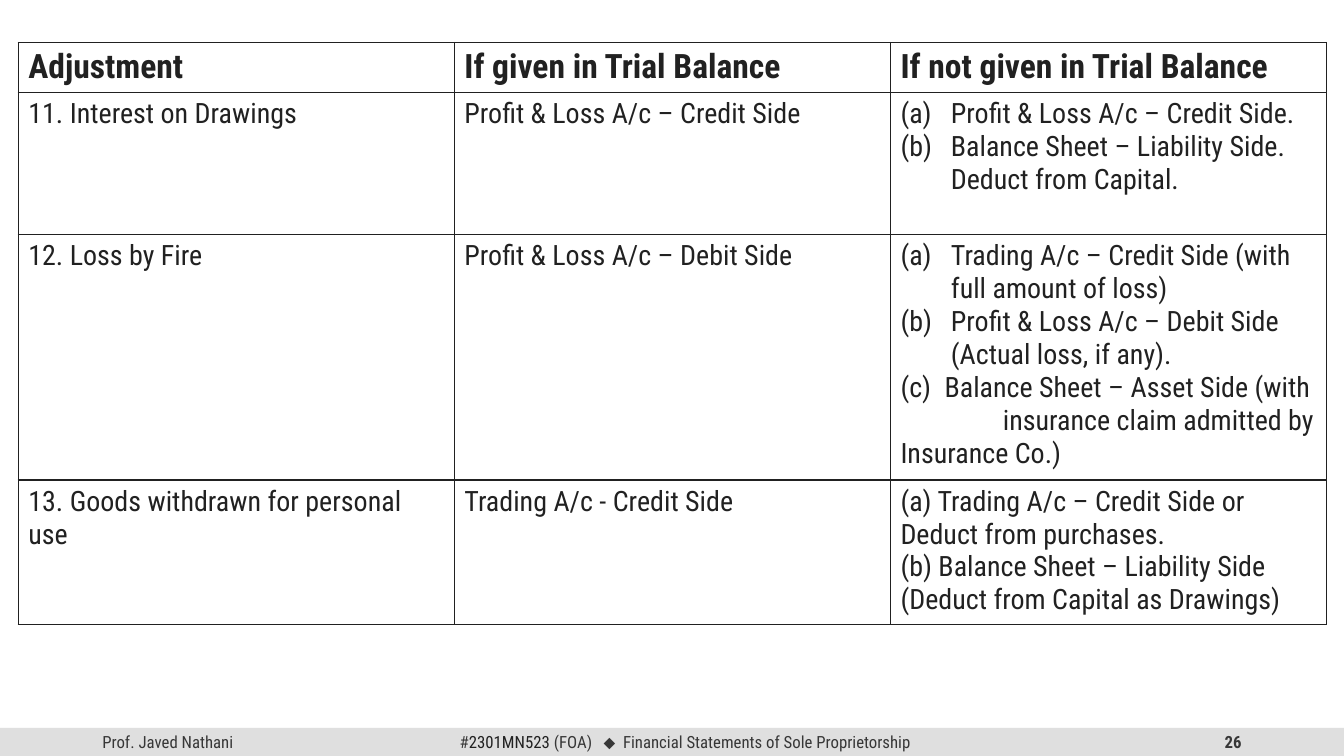
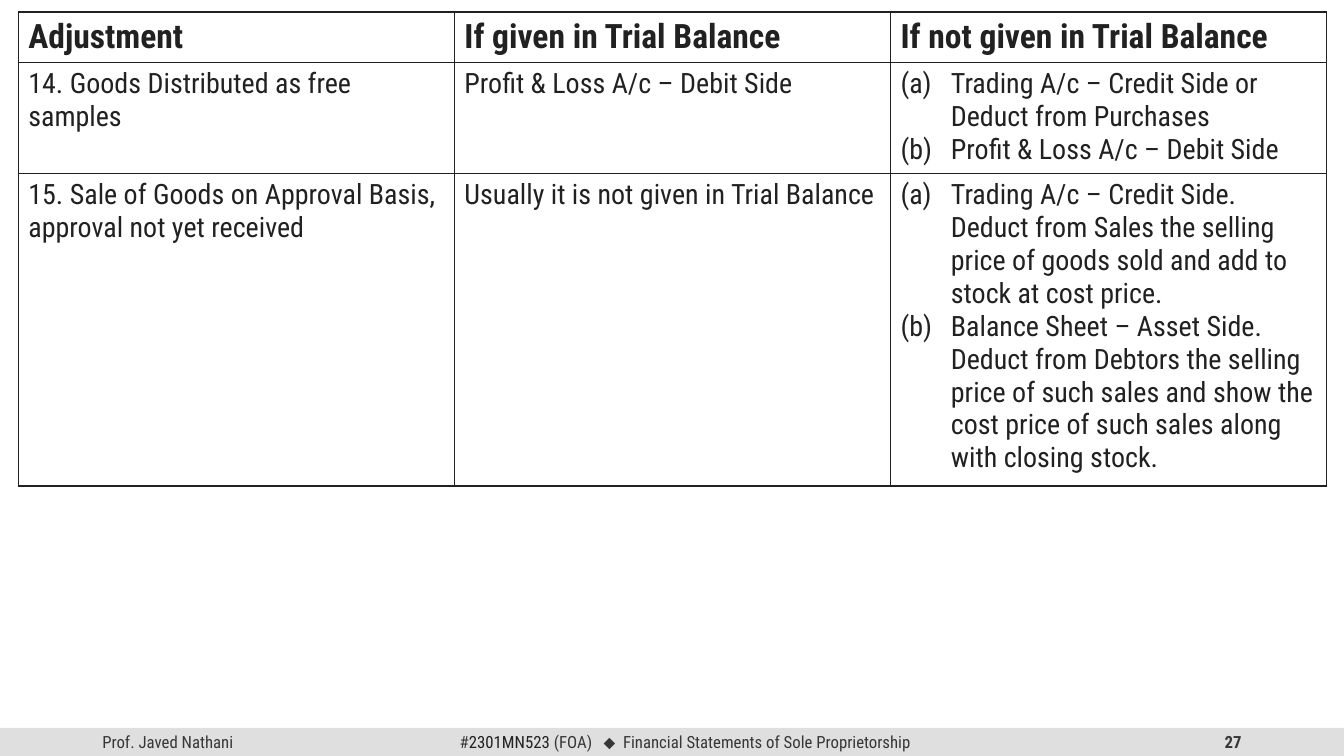
from dataclasses import dataclass

from lxml.etree import SubElement
from pptx import Presentation
from pptx.dml.color import RGBColor
from pptx.enum.shapes import MSO_SHAPE
from pptx.enum.text import MSO_ANCHOR, PP_ALIGN
from pptx.oxml.ns import qn
from pptx.util import Cm, Pt

INK = RGBColor(0x21, 0x21, 0x21)
FOOTER_INK = RGBColor(0x37, 0x37, 0x37)
FOOTER_FILL = RGBColor(0xDF, 0xDF, 0xDF)
BODY_FONT = "Roboto Condensed"
SYMBOL_FONT = "Arial"

SLIDE_WIDTH, SLIDE_HEIGHT = Cm(33.87), Cm(19.05)
FOOTER_HEIGHT = Cm(0.71)
TABLE_LEFT, TABLE_WIDTH = Cm(0.46), Cm(32.97)
HEADER_HEIGHT = Cm(1.25)
LINE_HEIGHT, ROW_PADDING = Cm(0.83), Cm(0.25)
HANGING = Cm(1.27)
HEADINGS = ("Adjustment", "If given in Trial Balance", "If not given in Trial Balance")


@dataclass
class Item:
    text: str
    number: int = 0
    left: int = 0
    first_line: int = 0


def lettered(*texts):
    return [Item(text, 1, HANGING, -HANGING) for text in texts]


DRAWINGS_TO_WITHDRAWALS = [
    (4, "11. Interest on Drawings", "Profit & Loss A/c – Credit Side",
     lettered("Profit & Loss A/c – Credit Side.",
              "Balance Sheet – Liability Side. Deduct from Capital.")),
    (7, "12. Loss by Fire", "Profit & Loss A/c – Debit Side",
     lettered("Trading A/c – Credit Side (with full amount of loss)",
              "Profit & Loss A/c – Debit Side")
     + [Item("(Actual loss, if any).", left=HANGING),
        Item("Balance Sheet – Asset Side (with", 3, Cm(1.11), -Cm(1.11)),
        Item("insurance claim admitted by Insurance Co.)", first_line=Cm(2.58))]),
    (4, "13. Goods withdrawn for personal use", "Trading A/c - Credit Side",
     [Item("(a) Trading A/c – Credit Side or"),
      Item("Deduct from purchases."),
      Item("(b) Balance Sheet – Liability Side (Deduct from Capital as Drawings)")]),
]
SAMPLES_TO_APPROVAL = [
    (3, "14. Goods Distributed as free samples", "Profit & Loss A/c – Debit Side",
     lettered("Trading A/c – Credit Side or Deduct from Purchases",
              "Profit & Loss A/c – Debit Side")),
    (9, "15. Sale of Goods on Approval Basis, approval not yet received",
     "Usually it is not given in Trial Balance",
     lettered("Trading A/c – Credit Side. Deduct from Sales the selling price of goods "
              "sold and add to stock at cost price.",
              "Balance Sheet – Asset Side. Deduct from Debtors the selling price of such "
              "sales and show the cost price of such sales along with closing stock.")),
]


def add_run(paragraph, text, size, color, bold=False, font=BODY_FONT, spacing=0):
    run = paragraph.add_run()
    run.text = text
    run.font.size = Pt(size)
    run.font.name = font
    run.font.bold = bold
    run.font.color.rgb = color
    if spacing:
        run._r.get_or_add_rPr().set("spc", str(spacing))


def add_footer_text(slide, left, top, width, alignment):
    box = slide.shapes.add_textbox(left, top, width, FOOTER_HEIGHT)
    frame = box.text_frame
    frame.word_wrap = True
    frame.vertical_anchor = MSO_ANCHOR.MIDDLE
    paragraph = frame.paragraphs[0]
    paragraph.alignment = alignment
    return paragraph


def add_footer(slide, page_number):
    top = SLIDE_HEIGHT - FOOTER_HEIGHT
    band = slide.shapes.add_shape(MSO_SHAPE.RECTANGLE, 0, top, SLIDE_WIDTH, FOOTER_HEIGHT)
    band.shadow.inherit = False
    band.fill.solid()
    band.fill.fore_color.rgb = FOOTER_FILL
    band.line.fill.background()

    author = add_footer_text(slide, Cm(2.33), top, Cm(7.62), PP_ALIGN.LEFT)
    add_run(author, "Prof. Javed Nathani", 12, FOOTER_INK)
    number = add_footer_text(slide, Cm(23.92), top, Cm(7.62), PP_ALIGN.RIGHT)
    add_run(number, str(page_number), 12, FOOTER_INK, bold=True)

    course = add_footer_text(slide, Cm(10.62), top, Cm(13.3), PP_ALIGN.CENTER)
    add_run(course, "#", 12, FOOTER_INK)
    add_run(course, "2301MN523 ", 12, INK)
    add_run(course, "(FOA)", 12, FOOTER_INK)
    add_run(course, " ", 12, FOOTER_INK, spacing=540)
    add_run(course, "⬥", 12, FOOTER_INK, font=SYMBOL_FONT)
    add_run(course, " ", 12, FOOTER_INK, spacing=270)
    add_run(course, "Financial Statements of Sole Proprietorship", 12, FOOTER_INK)


def set_borders(cell):
    properties = cell._tc.get_or_add_tcPr()
    for side in ("a:lnL", "a:lnR", "a:lnT", "a:lnB"):
        line = SubElement(properties, qn(side), w=str(Pt(1)))
        fill = SubElement(line, qn("a:solidFill"))
        SubElement(fill, qn("a:srgbClr"), val=str(INK))


def set_indent(paragraph, item):
    properties = paragraph._p.get_or_add_pPr()
    properties.set("marL", str(item.left))
    properties.set("indent", str(item.first_line))
    if item.number:
        SubElement(properties, qn("a:buAutoNum"), type="alphaLcParenBoth",
                   startAt=str(item.number))


def fill_cell(cell, items, size, bold=False):
    set_borders(cell)
    cell.fill.background()
    frame = cell.text_frame
    for index, item in enumerate(items):
        paragraph = frame.add_paragraph() if index else frame.paragraphs[0]
        set_indent(paragraph, item)
        add_run(paragraph, item.text, size, INK, bold)


def add_adjustment_table(slide, left, top, width, adjustments):
    heights = [HEADER_HEIGHT] + [ROW_PADDING + LINE_HEIGHT * row[0] for row in adjustments]
    frame = slide.shapes.add_table(len(heights), len(HEADINGS), left, top, width, sum(heights))
    table = frame.table
    table.horz_banding = False
    for row, height in zip(table.rows, heights):
        row.height = height
    for column, heading in enumerate(HEADINGS):
        fill_cell(table.cell(0, column), [Item(heading)], 24, bold=True)
    for row, (_, adjustment, given, not_given) in enumerate(adjustments, 1):
        contents = ([Item(adjustment)], [Item(given)], not_given)
        for column, items in enumerate(contents):
            fill_cell(table.cell(row, column), items, 20)


def add_adjustment_slide(presentation, page_number, table_top, adjustments):
    slide = presentation.slides.add_slide(presentation.slide_layouts[6])
    add_footer(slide, page_number)
    add_adjustment_table(slide, TABLE_LEFT, table_top, TABLE_WIDTH, adjustments)


def main():
    presentation = Presentation()
    presentation.slide_width = SLIDE_WIDTH
    presentation.slide_height = SLIDE_HEIGHT
    add_adjustment_slide(presentation, 26, Cm(1.07), DRAWINGS_TO_WITHDRAWALS)
    add_adjustment_slide(presentation, 27, Cm(0.3), SAMPLES_TO_APPROVAL)
    presentation.save("out.pptx")


if __name__ == "__main__":
    main()
